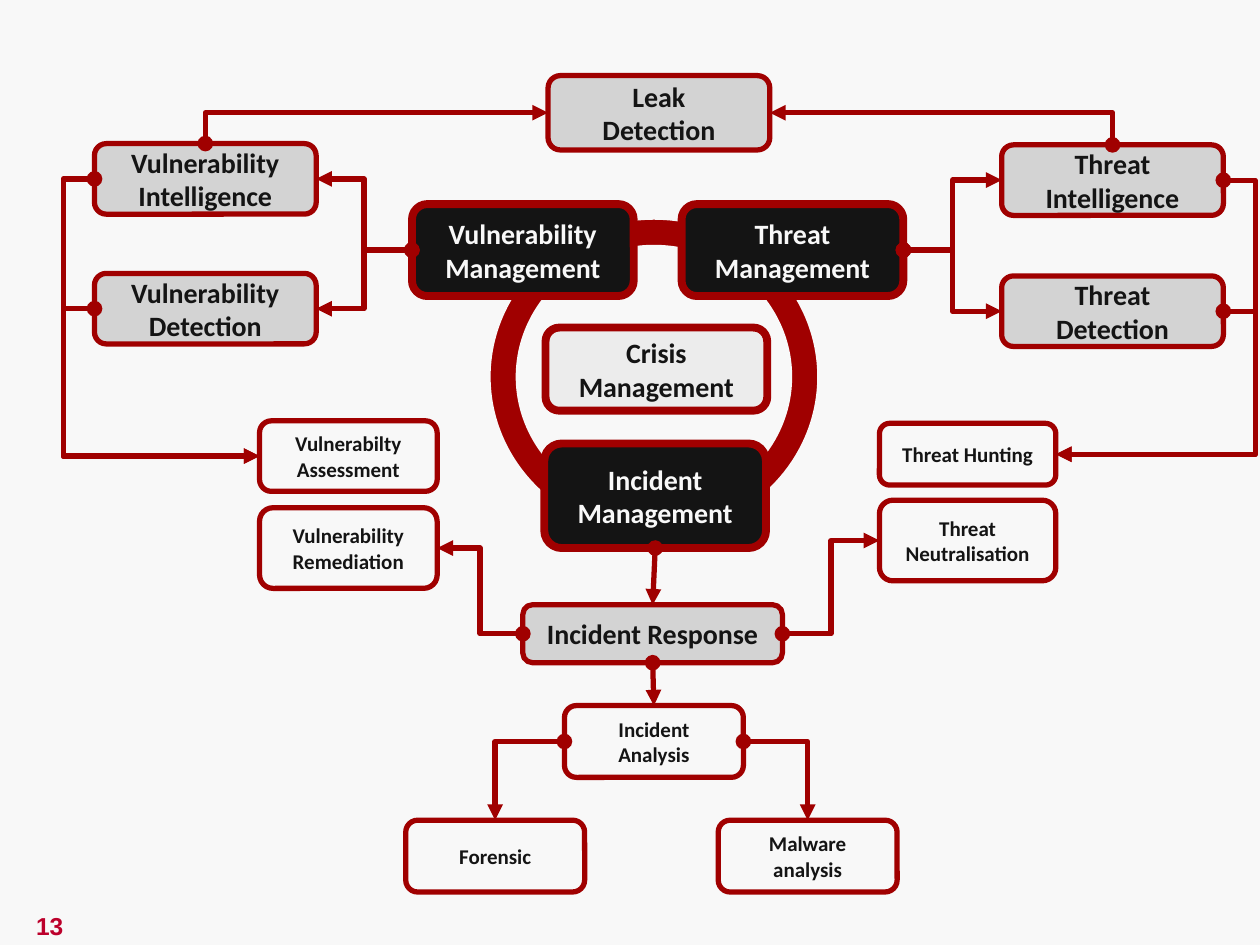
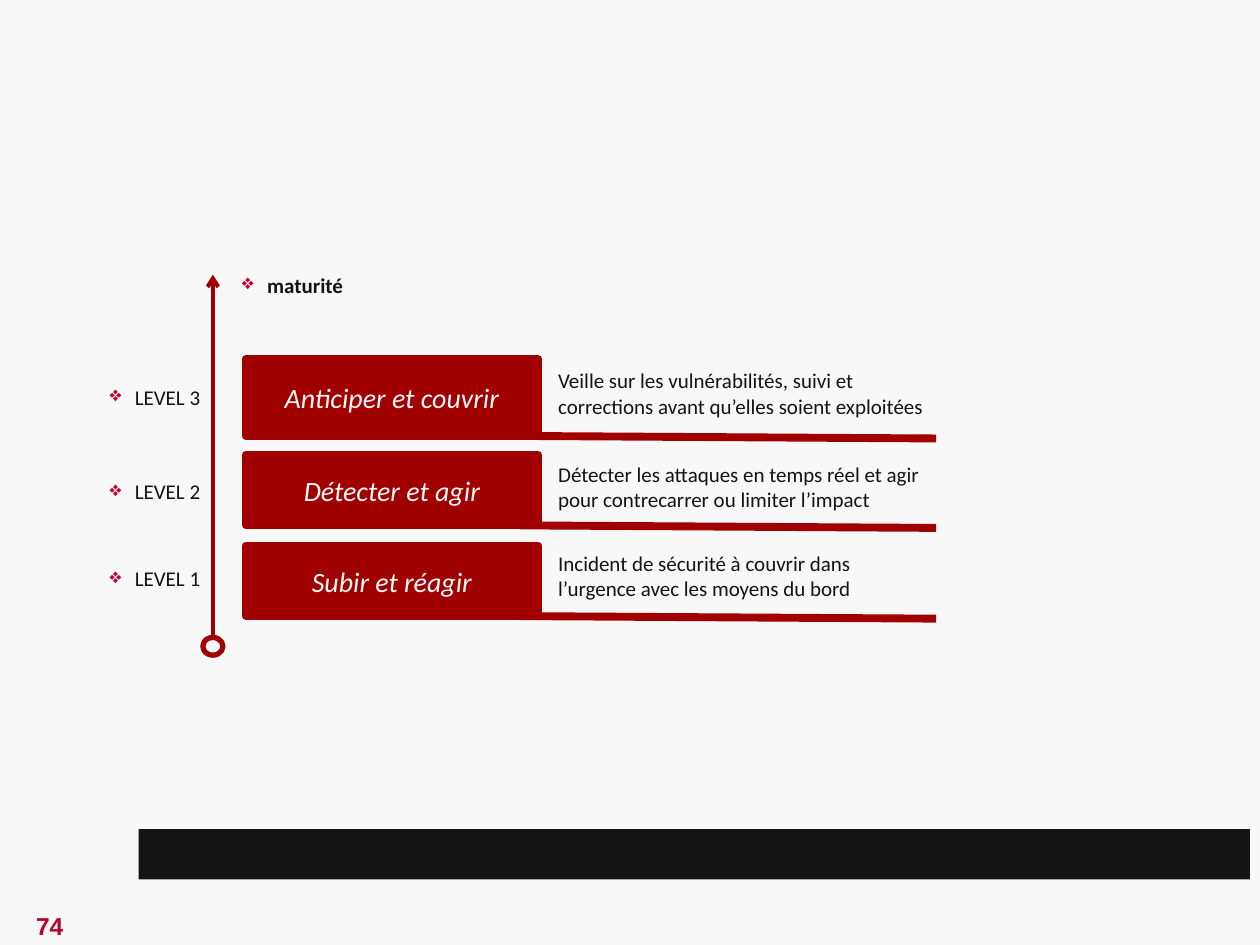
from dataclasses import dataclass
from typing import Any, NamedTuple, Optional

from lxml.etree import SubElement
from pptx import Presentation
from pptx.dml.color import RGBColor
from pptx.enum.shapes import MSO_CONNECTOR as Route, MSO_SHAPE as Preset
from pptx.enum.text import MSO_ANCHOR as Anchor, PP_ALIGN as Align
from pptx.oxml.ns import qn
from pptx.util import Emu, Inches, Pt


@dataclass(frozen=True)
class Theme:
    """Colours, fonts and sizes shared by the slides."""
    paper: RGBColor = RGBColor(0xF8, 0xF8, 0xF8)
    ink: RGBColor = RGBColor(0x14, 0x14, 0x14)
    red: RGBColor = RGBColor(0xA0, 0x00, 0x00)
    grey: RGBColor = RGBColor(0xD3, 0xD3, 0xD3)
    pale: RGBColor = RGBColor(0xEC, 0xEC, 0xEC)
    number: RGBColor = RGBColor(0xBC, 0x00, 0x2B)
    bullet: str = "C80032"
    body_font: str = "Calibri"
    number_font: str = "Arial"
    large: float = 16
    small: float = 12
    number_size: float = 14
    thick: float = 4.5
    medium: float = 3
    thin: float = 2.25


class Area(NamedTuple):
    """Left, top, width and height in grid columns and rows."""
    left: float
    top: float
    width: float
    height: float


class BoxStyle(NamedTuple):
    """Look of one family of boxes."""
    fill: RGBColor
    text: RGBColor
    size: float
    line: float
    bold: bool = True
    italic: bool = False


class Box(NamedTuple):
    """A labelled process box."""
    key: str
    text: str
    area: Area
    style: BoxStyle


class Link(NamedTuple):
    """A connector between sides of two boxes."""
    start: str
    start_side: int
    end: str
    end_side: int
    preset: str = "bentConnector3"
    bend: Optional[float] = None
    reverse: bool = False


class Level(NamedTuple):
    """One maturity level with its box, label and explanation."""
    label: str
    title: str
    detail: str
    top: float
    height: float
    label_top: float
    detail_top: float


THEME = Theme()
WIDTH, HEIGHT = Inches(10), Inches(7.5)
COLUMNS, ROWS = 100, 75
TOP, LEFT, BOTTOM, RIGHT = range(4)
STRAIGHT, CORNER = "line", "bentConnector2"
DETOUR = -0.19
TIGHT = {"margin_left": Inches(0.07), "margin_right": Inches(0.07),
         "margin_top": Inches(0.04), "margin_bottom": Inches(0.04)}

CORE = BoxStyle(THEME.ink, THEME.paper, THEME.large, THEME.thick)
CRISIS = BoxStyle(THEME.pale, THEME.ink, THEME.large, THEME.thick)
SERVICE = BoxStyle(THEME.grey, THEME.ink, THEME.large, THEME.medium)
TASK = BoxStyle(THEME.paper, THEME.ink, THEME.small, THEME.medium)
STAGE = BoxStyle(THEME.red, THEME.paper, THEME.large, THEME.thick, False, True)

BOXES = [
    Box("vulnerability", "Vulnerability Management", Area(32.7, 16.2, 17.6, 7.3), CORE),
    Box("threat", "Threat Management", Area(54.1, 16.2, 17.6, 7.3), CORE),
    Box("incident", "Incident Management", Area(43.2, 35.2, 17.6, 8.3), CORE),
    Box("crisis", "Crisis\nManagement", Area(43.3, 26, 17.6, 6.6), CRISIS),
    Box("response", "Incident Response", Area(41.5, 48, 20.6, 4.6), SERVICE),
    Box("leak", "Leak\nDetection", Area(43.5, 6, 17.6, 5.9), SERVICE),
    Box("threat intelligence", "Threat Intelligence", Area(79.5, 11.5, 17.6, 5.6), SERVICE),
    Box("threat detection", "Threat Detection", Area(79.5, 21.9, 17.6, 5.6), SERVICE),
    Box("vulnerability intelligence", "Vulnerability\nIntelligence",
        Area(7.5, 11.4, 17.6, 5.6), SERVICE),
    Box("vulnerability detection", "Vulnerability\nDetection",
        Area(7.5, 21.7, 17.6, 5.6), SERVICE),
    Box("assessment", "Vulnerabilty Assessment", Area(20.6, 33.4, 14.1, 5.6), TASK),
    Box("remediation", "Vulnerability\nRemediation", Area(20.6, 40.3, 14.1, 6.4), TASK),
    Box("hunting", "Threat Hunting", Area(69.8, 33.6, 14, 4.9), TASK),
    Box("neutralisation", "Threat\nNeutralisation", Area(69.8, 39.7, 14, 6.4), TASK),
    Box("analysis", "Incident\nAnalysis", Area(44.8, 56, 14.2, 5.7), TASK),
    Box("forensic", "Forensic", Area(32.2, 65.1, 14.2, 5.7), TASK),
    Box("malware", "Malware analysis", Area(57, 65.1, 14.2, 5.7), TASK),
]

LINKS = [
    Link("threat", RIGHT, "threat intelligence", LEFT),
    Link("threat", RIGHT, "threat detection", LEFT),
    Link("vulnerability", LEFT, "vulnerability intelligence", RIGHT),
    Link("vulnerability", LEFT, "vulnerability detection", RIGHT),
    Link("vulnerability intelligence", LEFT, "assessment", LEFT, bend=DETOUR),
    Link("vulnerability detection", LEFT, "assessment", LEFT, bend=DETOUR),
    Link("threat intelligence", RIGHT, "hunting", RIGHT, bend=DETOUR),
    Link("threat detection", RIGHT, "hunting", RIGHT, bend=DETOUR),
    Link("response", LEFT, "remediation", RIGHT),
    Link("response", RIGHT, "neutralisation", LEFT),
    Link("incident", BOTTOM, "response", TOP, STRAIGHT),
    Link("response", BOTTOM, "analysis", TOP, STRAIGHT),
    Link("analysis", LEFT, "forensic", TOP, CORNER),
    Link("analysis", RIGHT, "malware", TOP, CORNER),
    Link("leak", LEFT, "vulnerability intelligence", TOP, CORNER, reverse=True),
    Link("leak", RIGHT, "threat intelligence", TOP, CORNER, reverse=True),
]

LEVELS = [
    Level("LEVEL 3", "Anticiper et couvrir",
          "Veille sur les vulnérabilités, suivi et corrections avant qu’elles soient exploitées",
          28.5, 6.1, 30.1, 28.8),
    Level("LEVEL 2", "Détecter et agir",
          "Détecter les attaques en temps réel et agir pour contrecarrer ou limiter l’impact",
          36.1, 5.6, 37.6, 36.2),
    Level("LEVEL 1", "Subir et réagir",
          "Incident de sécurité à couvrir dans l’urgence avec les moyens du bord",
          43.3, 5.6, 44.5, 43.3),
]


def across(columns: float) -> Emu:
    """Convert grid columns to a length."""
    return Emu(round(WIDTH * columns / COLUMNS))


def down(rows: float) -> Emu:
    """Convert grid rows to a length."""
    return Emu(round(HEIGHT * rows / ROWS))


def place(area: Area) -> tuple[Emu, Emu, Emu, Emu]:
    """Convert a grid area to slide lengths."""
    return across(area.left), down(area.top), across(area.width), down(area.height)


def apply(target: Any, values: dict[str, Any]) -> None:
    """Set every named value on the target."""
    for name, value in values.items():
        setattr(target, name, value)


def write(shape: Any, text: str, color: RGBColor, font: dict[str, Any],
          frame: dict[str, Any], align: Align = Align.LEFT, bullet: bool = False) -> None:
    """Fill a shape with formatted text."""
    apply(shape.text_frame, {"word_wrap": True, **frame})
    shape.text_frame.text = text
    for paragraph in shape.text_frame.paragraphs:
        paragraph.alignment = align
        if bullet:
            add_bullet(paragraph)
        for run in paragraph.runs:
            apply(run.font, {"name": THEME.body_font, **font})
            run.font.color.rgb = color


def add_bullet(paragraph: Any) -> None:
    """Give a paragraph a hanging diamond bullet."""
    properties = paragraph._p.get_or_add_pPr()
    properties.set("marL", str(Inches(0.2)))
    properties.set("indent", str(-Inches(0.2)))
    color = SubElement(properties, qn("a:buClr"))
    SubElement(color, qn("a:srgbClr"), val=THEME.bullet)
    SubElement(properties, qn("a:buChar"), char="❖")


def add_shape(slide: Any, preset: Preset, area: Area, fill: RGBColor,
              line: Optional[RGBColor] = None, width: float = 0) -> Any:
    """Draw a flat preset shape."""
    shape = slide.shapes.add_shape(preset, *place(area))
    shape.shadow.inherit = False
    shape.fill.solid()
    shape.fill.fore_color.rgb = fill
    if line is None:
        shape.line.fill.background()
    else:
        shape.line.color.rgb = line
        shape.line.width = Pt(width)
    return shape


def add_box(slide: Any, text: str, area: Area, style: BoxStyle) -> Any:
    """Draw a rounded box with a centred caption."""
    shape = add_shape(slide, Preset.ROUNDED_RECTANGLE, area, style.fill, THEME.red, style.line)
    font = {"size": Pt(style.size), "bold": style.bold, "italic": style.italic}
    write(shape, text, style.text, font, {"vertical_anchor": Anchor.MIDDLE}, Align.CENTER)
    return shape


def add_text(slide: Any, text: str, area: Area, bold: bool = False, bullet: bool = False) -> None:
    """Add a small text box, with a bullet if asked."""
    font = {"size": Pt(THEME.small), "bold": bold}
    write(slide.shapes.add_textbox(*place(area)), text, THEME.ink, font, TIGHT, bullet=bullet)


def style_line(connector: Any, width: float, ends: dict[str, str]) -> None:
    """Colour a connector, drop its shadow and set its ends."""
    connector.line.color.rgb = THEME.red
    connector.line.width = Pt(width)
    line = connector.line._get_or_add_ln()
    for end in ("headEnd", "tailEnd"):
        if end in ends:
            SubElement(line, qn(f"a:{end}"), type=ends[end])
    SubElement(connector._element.spPr, qn("a:effectLst"))


def add_line(slide: Any, start: tuple[float, float], end: tuple[float, float],
             width: float, ends: dict[str, str]) -> None:
    """Draw a straight line between two grid points."""
    points = across(start[0]), down(start[1]), across(end[0]), down(end[1])
    style_line(slide.shapes.add_connector(Route.STRAIGHT, *points), width, ends)


def add_link(slide: Any, link: Link, shapes: dict[str, Any]) -> None:
    """Connect two boxes from a dot to an arrowhead."""
    connector = slide.shapes.add_connector(Route.ELBOW, 0, 0, 0, 0)
    connector.begin_connect(shapes[link.start], link.start_side)
    connector.end_connect(shapes[link.end], link.end_side)
    geometry = connector._element.spPr.find(qn("a:prstGeom"))
    geometry.set("prst", link.preset)
    if link.bend is not None:
        guides = geometry.find(qn("a:avLst"))
        SubElement(guides, qn("a:gd"), name="adj1", fmla=f"val {round(link.bend * 100000)}")
    marks = ("triangle", "oval") if link.reverse else ("oval", "triangle")
    style_line(connector, THEME.medium, dict(zip(("headEnd", "tailEnd"), marks)))


def new_slide(presentation: Any, number: str) -> Any:
    """Add a blank slide with the background and page number."""
    slide = presentation.slides.add_slide(presentation.slide_layouts[6])
    slide.background.fill.solid()
    slide.background.fill.fore_color.rgb = THEME.paper
    font = {"name": THEME.number_font, "size": Pt(THEME.number_size), "bold": True}
    write(slide.shapes.add_textbox(*place(Area(0, 71.8, 7.9, 3.4))), number, THEME.number,
          font, {"vertical_anchor": Anchor.MIDDLE}, Align.CENTER)
    return slide


def build_process_map(presentation: Any) -> None:
    """Draw the map of security processes."""
    slide = new_slide(presentation, "13")
    ring = add_shape(slide, Preset.DONUT, Area(38.8, 17.3, 26.2, 25.2),
                     THEME.red, THEME.paper, 2)
    ring.adjustments[0] = 0.09
    shapes = {box.key: add_box(slide, box.text, box.area, box.style) for box in BOXES}
    for link in LINKS:
        add_link(slide, link, shapes)


def build_maturity_scale(presentation: Any) -> None:
    """Draw the maturity scale and its levels."""
    slide = new_slide(presentation, "74")
    add_line(slide, (16.9, 51.5), (16.9, 21.8), THEME.thin, {"tailEnd": "arrow"})
    add_shape(slide, Preset.OVAL, Area(16.1, 50.6, 1.6, 1.4),
              THEME.paper, THEME.red, THEME.medium)
    add_text(slide, "maturité", Area(18.5, 21.2, 28.1, 2.9), bold=True, bullet=True)
    for level in LEVELS:
        base = level.top + level.height
        add_line(slide, (41.3, base), (74.3, base + 0.2), THEME.thick, {})
        stage = add_box(slide, level.title, Area(19.5, level.top, 23.2, level.height), STAGE)
        stage.adjustments[0] = 0
        add_text(slide, level.label, Area(8, level.label_top, 11.2, 2.9), bullet=True)
        add_text(slide, level.detail, Area(43.6, level.detail_top, 31, 2.9))
    add_shape(slide, Preset.RECTANGLE, Area(11, 65.8, 88.2, 4), THEME.ink)


def main() -> None:
    """Build and save the presentation."""
    presentation = Presentation()
    apply(presentation, {"slide_width": WIDTH, "slide_height": HEIGHT})
    build_process_map(presentation)
    build_maturity_scale(presentation)
    presentation.save("out.pptx")


if __name__ == "__main__":
    main()
